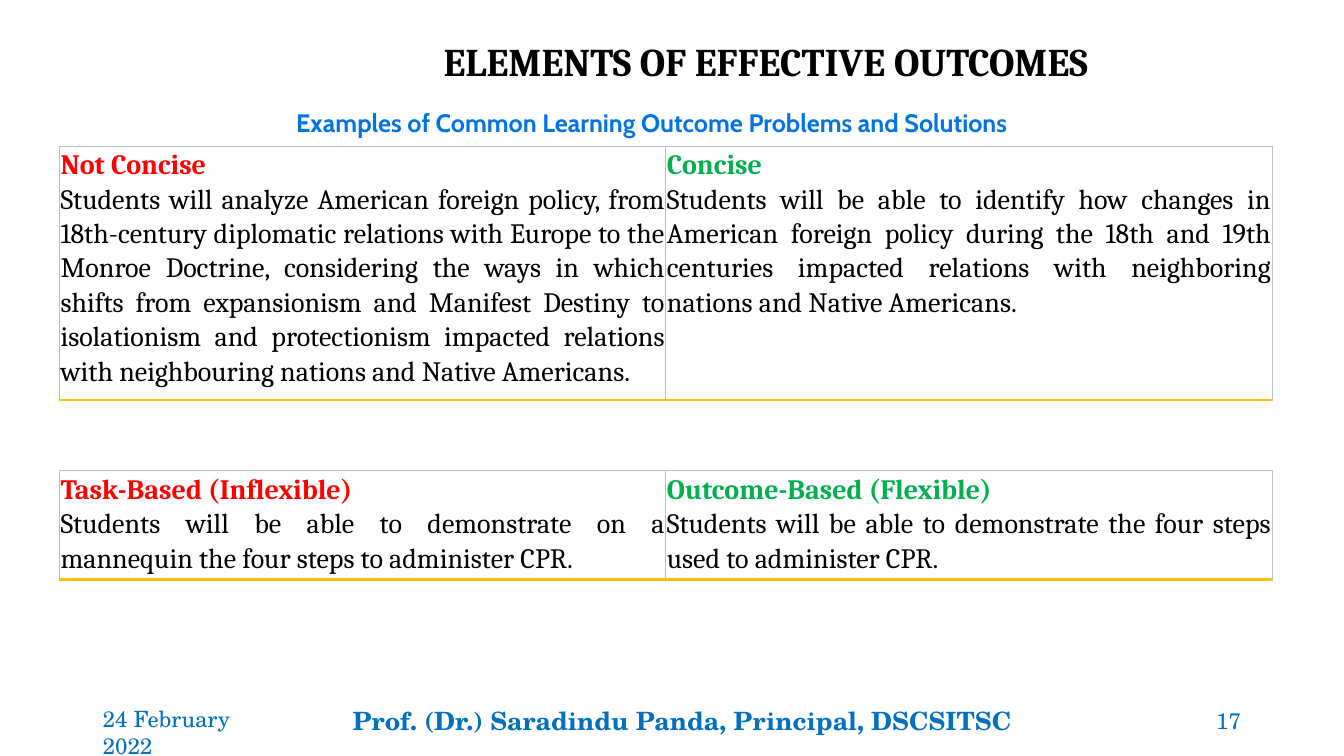
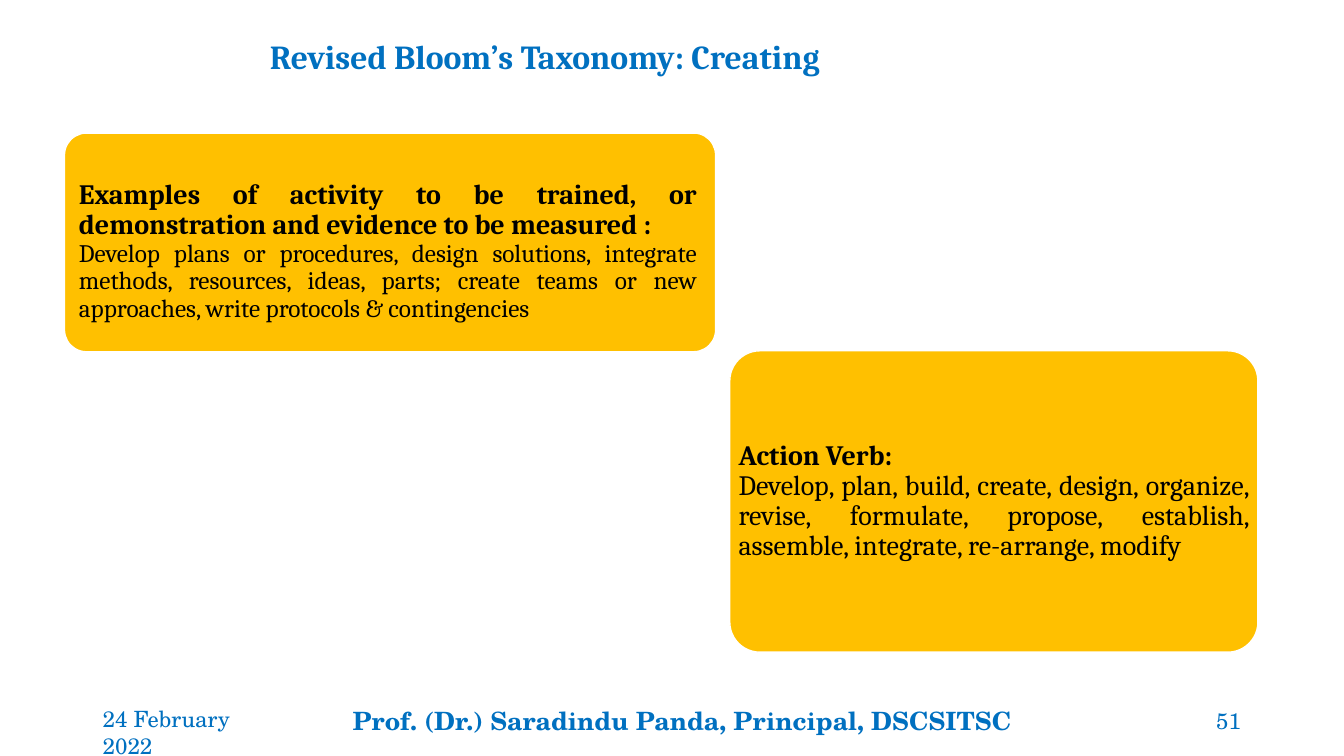
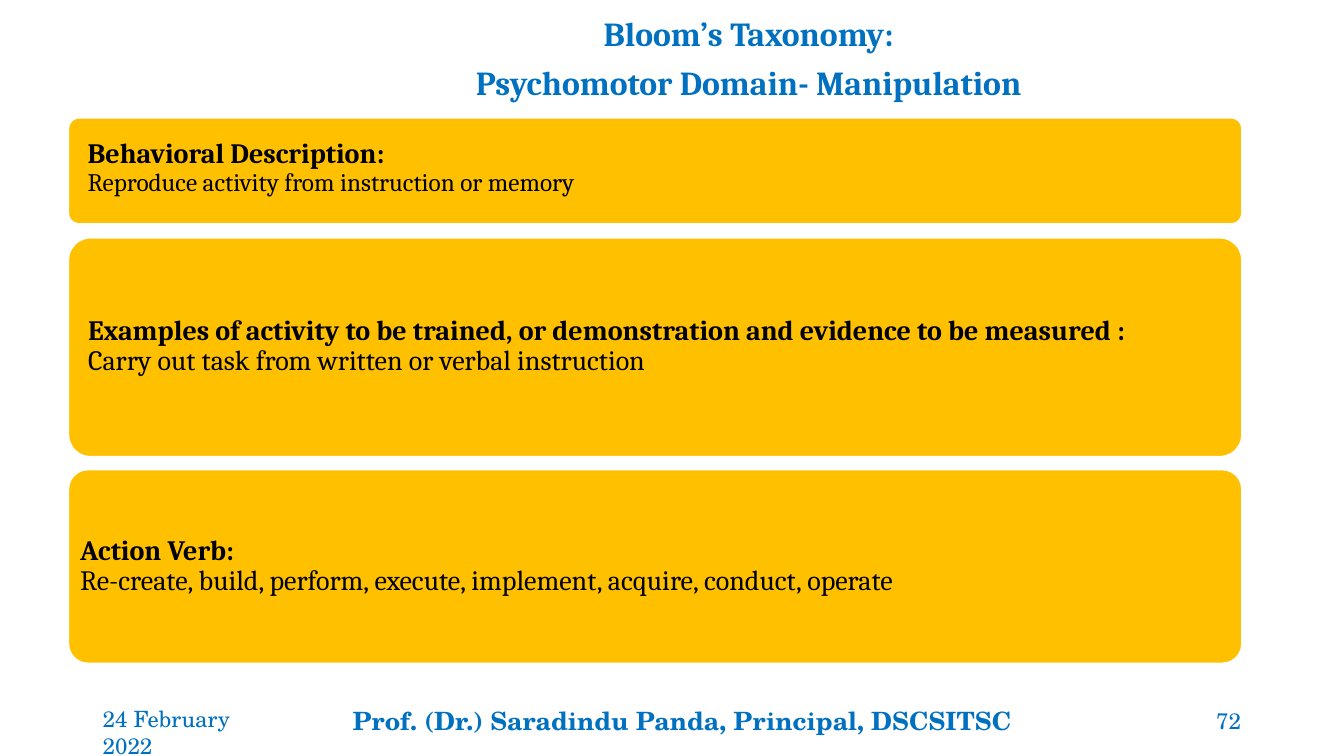
from lxml import etree
from pptx import Presentation
from pptx import util as u
from pptx.dml import color
from pptx.enum import shapes, text
from pptx.oxml import ns

BLUE, GOLD, RED, GREEN, GREY = "0070C0", "FFC000", "FF0000", "00B050", "BFBFBF"
BLACK, WHITE, SKY = "000000", "FFFFFF", "0073E6"
SERIF, CLASSIC = "Cambria", "TeX Gyre Schola"
LEFT, MID, JUST, RIGHT = (text.PP_ALIGN.LEFT, text.PP_ALIGN.CENTER,
                          text.PP_ALIGN.JUSTIFY, text.PP_ALIGN.RIGHT)
TOP, CORE, BASE = text.MSO_ANCHOR.TOP, text.MSO_ANCHOR.MIDDLE, text.MSO_ANCHOR.BOTTOM

deck = Presentation()
deck.slide_width, deck.slide_height = u.Inches(13.33), u.Inches(7.5)
COL, ROW = deck.slide_width / 100, deck.slide_height / 100
GRID = COL, ROW, COL, ROW


def hue(code):
    return color.RGBColor.from_string(code)


def write(frame, lines, anchor=TOP, **base):
    frame.word_wrap = True
    frame.vertical_anchor = anchor
    for i, (words, extra) in enumerate(lines):
        fmt = {"size": 20, "face": SERIF, "tint": BLACK, "bold": False, "align": LEFT,
               "lead": 1.0, "before": 0, "after": 0} | base | extra
        para = frame.paragraphs[0] if i == 0 else frame.add_paragraph()
        para.alignment = fmt["align"]
        para.line_spacing = fmt["lead"]
        para.space_before = u.Pt(fmt["before"])
        para.space_after = u.Pt(fmt["after"])
        run = para.add_run()
        run.text = words
        run.font.name = fmt["face"]
        run.font.size = u.Pt(fmt["size"])
        run.font.bold = fmt["bold"]
        run.font.color.rgb = hue(fmt["tint"])


HEAD = {"anchor": BASE, "size": 24, "tint": BLUE, "bold": True}
FOOT = {"face": CLASSIC, "tint": BLUE, "size": 16}
TASK = "Examples of activity to be trained, or demonstration and evidence to be measured :"
VERB = "Action Verb:"

pages = [
    {
        "no": "17",
        "texts": [
            ((19.35, 4.4, 75.23, 7.47), [("ELEMENTS OF EFFECTIVE OUTCOMES", {})],
             HEAD | {"size": 28, "tint": BLACK, "align": MID, "lead": 1.07, "after": 8}),
            ((21.3, 13.2, 67.2, 5.47),
             [("Examples of Common Learning Outcome Problems and Solutions", {})],
             {"size": 18, "face": "Cabin", "tint": SKY, "bold": True, "lead": 1.07}),
        ],
        "tables": [
            (19.33, 33.6, [
                ("Not Concise", RED,
                 "Students will analyze American foreign policy, from 18th-century diplomatic "
                 "relations with Europe to the Monroe Doctrine, considering the ways in which "
                 "shifts from expansionism and Manifest Destiny to isolationism and "
                 "protectionism impacted relations with neighbouring nations and Native "
                 "Americans."),
                ("Concise", GREEN,
                 "Students will be able to identify how changes in American foreign policy "
                 "during the 18th and 19th centuries impacted relations with neighboring "
                 "nations and Native Americans."),
            ]),
            (62.27, 14.4, [
                ("Task-Based (Inflexible)", RED,
                 "Students will be able to demonstrate on a mannequin the four steps to "
                 "administer CPR."),
                ("Outcome-Based (Flexible)", GREEN,
                 "Students will be able to demonstrate the four steps used to administer CPR."),
            ]),
        ],
        "cards": [],
    },
    {
        "no": "51",
        "texts": [
            ((19.35, 4.4, 75.23, 6.4), [("Revised Bloom’s Taxonomy: Creating", {})],
             HEAD | {"align": JUST, "lead": 1.07, "after": 8}),
        ],
        "tables": [],
        "cards": [
            ((4.8, 17.6, 48.45, 28.93), (0.08, 0.26, 0.12, 0.08), TASK,
             "Develop plans or procedures, design solutions, integrate methods, resources, "
             "ideas, parts; create teams or new approaches, write protocols & contingencies",
             18),
            ((54.3, 46.4, 39.3, 39.87), (0, 0, 0, 0), VERB,
             "Develop, plan, build, create, design, organize, revise, formulate, propose, "
             "establish, assemble, integrate, re-arrange, modify", 20),
        ],
    },
    {
        "no": "72",
        "texts": [
            ((18.75, 2.4, 73.9, 11.87),
             [("Bloom’s Taxonomy:", {}),
              ("Psychomotor Domain- Manipulation", {"before": 6})],
             HEAD | {"align": MID, "lead": 0.9, "after": 3}),
        ],
        "tables": [],
        "cards": [
            ((5.1, 15.6, 87.3, 14), (0.16, 0.08, 0.08, 0.13), "Behavioral Description:",
             "Reproduce activity from instruction or memory", 18),
            ((5.1, 31.47, 87.3, 28.93), (0.13, 0.08, 0.08, 0.1), TASK,
             "Carry out task from written or verbal instruction", 20),
            ((5.1, 62.13, 87.3, 25.6), (0.06, 0.08, 0.08, 0.08), VERB,
             "Re-create, build, perform, execute, implement, acquire, conduct, operate", 20),
        ],
    },
]

for page in pages:
    slide = deck.slides.add_slide(deck.slide_layouts[6])

    for top, high, pair in page["tables"]:
        box = [int(a * b) for a, b in zip((4.43, top, 90.23, high), GRID)]
        table = slide.shapes.add_table(1, 2, *box).table
        table.first_row = table.horz_banding = False
        for i, (label, tint, words) in enumerate(pair):
            cell = table.cell(0, i)
            cell.fill.background()
            cell.margin_left = cell.margin_right = u.Inches(0.01)
            cell.margin_top = cell.margin_bottom = u.Inches(0.01)
            write(cell.text_frame,
                  [(label, {"tint": tint, "bold": True}), (words, {"after": 8})],
                  align=JUST, lead=1.07)
            edges = [("lnL", GREY if i else GOLD, 0.75 if i else 1.5),
                     ("lnR", GREY, 0.75), ("lnT", GREY, 0.75), ("lnB", GOLD, 2)]
            props = cell._tc.get_or_add_tcPr()
            for spot, (side, shade, wide) in enumerate(edges):
                line = etree.Element(ns.qn("a:" + side), w=str(u.Pt(wide)))
                fill = etree.SubElement(line, ns.qn("a:solidFill"))
                etree.SubElement(fill, ns.qn("a:srgbClr"), val=shade)
                props.insert(spot, line)

    for box, pads, label, words, size in page["cards"]:
        card = slide.shapes.add_shape(shapes.MSO_SHAPE.ROUNDED_RECTANGLE,
                                      *[int(a * b) for a, b in zip(box, GRID)])
        card.adjustments[0] = 0.1
        card.shadow.inherit = False
        card.fill.solid()
        card.fill.fore_color.rgb = hue(GOLD)
        card.line.color.rgb = hue(WHITE)
        card.line.width = u.Pt(1)
        frame = card.text_frame
        (frame.margin_left, frame.margin_top,
         frame.margin_right, frame.margin_bottom) = map(u.Inches, pads)
        write(frame, [(label, {"bold": True}), (words, {"size": size})],
              anchor=CORE, align=JUST, lead=0.9)

    foot = [
        ((6.9, 92.67, 14.93, 5.33), [("24 February 2022", {})], FOOT),
        ((25.5, 92.67, 51.08, 5.33),
         [("Prof. (Dr.) Saradindu Panda, Principal, DSCSITSC", {})],
         FOOT | {"size": 18, "bold": True}),
        ((82.2, 92.67, 10.88, 5.33), [(page["no"], {})],
         FOOT | {"anchor": CORE, "align": RIGHT}),
    ]
    for box, lines, fmt in page["texts"] + foot:
        area = slide.shapes.add_textbox(*[int(a * b) for a, b in zip(box, GRID)])
        write(area.text_frame, lines, **fmt)

deck.save("out.pptx")
